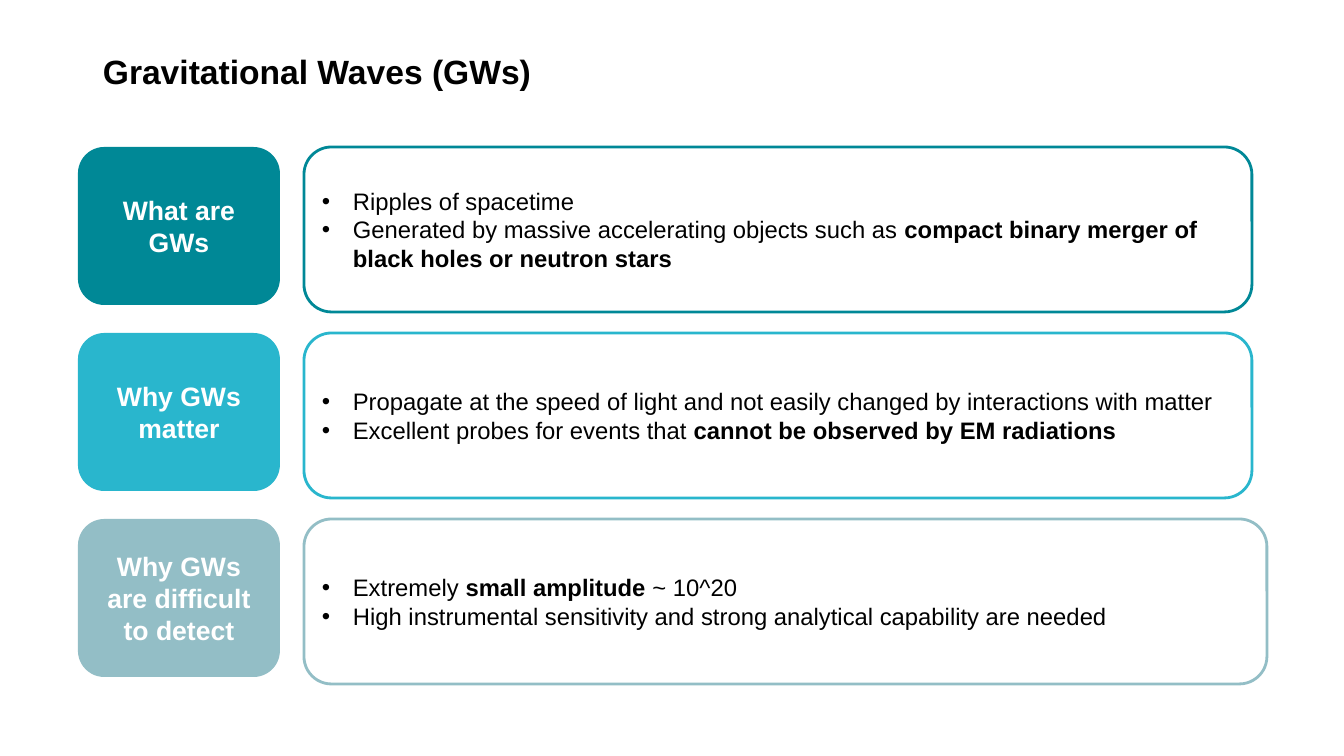
from lxml import etree
from pptx import Presentation
from pptx import util as u
from pptx.dml.color import RGBColor
from pptx.enum import shapes, text
from pptx.oxml.ns import qn

TITLE = "Gravitational Waves (GWs)"
# label, label fill, panel outline, panel width, bullets made of (words, bold) spans
ROWS = [
    ("What are GWs", "008896", "008897", 948, [
        [("Ripples of spacetime", False)],
        [("Generated by massive accelerating objects such as ", False),
         ("compact binary merger of black holes or neutron stars", True)],
    ]),
    ("Why GWs matter", "29B6CD", "29B6CD", 948, [
        [("Propagate at the speed of light and not easily changed by "
          "interactions with matter", False)],
        [("Excellent probes for events that ", False),
         ("cannot be observed by EM radiations", True)],
    ]),
    ("Why GWs are difficult to detect", "93BEC6", "93BEC6", 963, [
        [("Extremely ", False), ("small amplitude ", True), ("~ 10^20", False)],
        [("High instrumental sensitivity and strong analytical capability "
          "are needed", False)],
    ]),
]

PX = u.Inches(1) / 100.8
FIRST_TOP, PITCH = 147, 186
LABEL_LEFT, LABEL_WIDTH, LABEL_HEIGHT = 78, 202, 158
PANEL_LEFT, PANEL_HEIGHT = 304, 165
INDENT = 31


def px(*lengths):
    return [u.Emu(round(length * PX)) for length in lengths]


def color(value):
    return RGBColor.from_string(value)


def write(box, paragraphs, size, fill="000000", align=text.PP_ALIGN.LEFT,
          bullet=False, spacing=None):
    frame = box.text_frame
    frame.word_wrap = True
    frame.vertical_anchor = text.MSO_ANCHOR.MIDDLE
    for index, spans in enumerate(paragraphs):
        para = frame.add_paragraph() if index else frame.paragraphs[0]
        para.alignment = align
        if spacing:
            para.line_spacing = spacing
        if bullet:
            add_bullet(para)
        for words, bold in spans:
            span = para.add_run()
            span.text = words
            span.font.name = "Arial"
            span.font.size = u.Pt(size)
            span.font.bold = bold
            span.font.color.rgb = color(fill)


def add_bullet(para):
    properties = para._p.get_or_add_pPr()
    indent, = px(INDENT)
    properties.set("marL", str(indent))
    properties.set("indent", str(-indent))
    etree.SubElement(properties, qn("a:buFont")).set("typeface", "Arial")
    etree.SubElement(properties, qn("a:buChar")).set("char", "•")


def rounded_box(page, place, fill, outline=None):
    box = page.shapes.add_shape(shapes.MSO_SHAPE.ROUNDED_RECTANGLE, *px(*place))
    box.shadow.inherit = False
    box.fill.solid()
    box.fill.fore_color.rgb = color(fill)
    if outline:
        box.line.color.rgb = color(outline)
        box.line.width = u.Pt(2)
    else:
        box.line.fill.background()
    return box


def main():
    deck = Presentation()
    deck.slide_width, deck.slide_height = px(1344, 756)
    page = deck.slides.add_slide(deck.slide_layouts[6])

    title = page.shapes.add_textbox(*px(93, 1, 1159, 146))
    write(title, [[(TITLE, True)]], 24, spacing=0.9)

    for index, (label, fill, outline, width, bullets) in enumerate(ROWS):
        top = FIRST_TOP + index * PITCH
        panel = rounded_box(page, (PANEL_LEFT, top, width, PANEL_HEIGHT),
                            "FFFFFF", outline)
        frame = panel.text_frame
        frame.margin_top = frame.margin_bottom = u.Inches(0.1)
        write(panel, bullets, 17, bullet=True)
        tile = rounded_box(page, (LABEL_LEFT, top, LABEL_WIDTH, LABEL_HEIGHT), fill)
        write(tile, [[(label, True)]], 19, "FFFFFF", text.PP_ALIGN.CENTER)

    deck.save("out.pptx")


if __name__ == "__main__":
    main()
